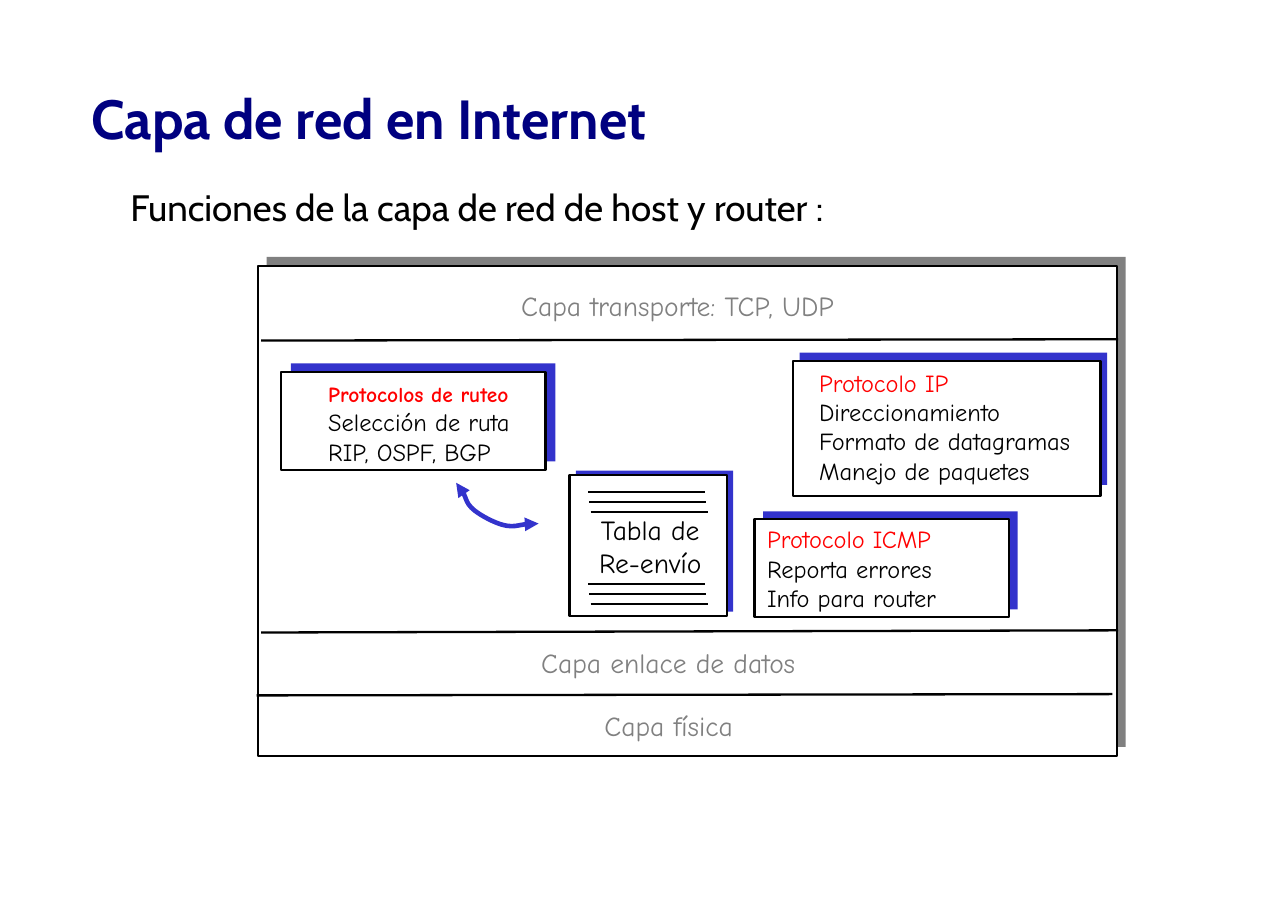
from dataclasses import dataclass

from lxml import etree
from pptx import Presentation
from pptx.dml.color import RGBColor
from pptx.enum.shapes import MSO_CONNECTOR, MSO_SHAPE
from pptx.enum.text import MSO_ANCHOR, MSO_AUTO_SIZE, PP_ALIGN
from pptx.oxml.ns import qn
from pptx.util import Cm, Pt

RECTANGLE = MSO_SHAPE.RECTANGLE
STRAIGHT = MSO_CONNECTOR.STRAIGHT
LEFT, CENTER = PP_ALIGN.LEFT, PP_ALIGN.CENTER
MIDDLE = MSO_ANCHOR.MIDDLE
FIXED_SIZE = MSO_AUTO_SIZE.NONE
TITLE_LAYOUT = 1
HEADING_FONT, DIAGRAM_FONT = "Cabin", "Comic Neue"
COLOURS = {
    "navy": "000080", "blue": "3333CC", "red": "FF0000",
    "black": "000000", "grey": "808080", "white": "FFFFFF",
}


@dataclass
class Line:
    text: str
    colour: str = "black"
    size: int = 16
    bold: bool = False


@dataclass
class Label:
    area: tuple[float, float, float, float]
    lines: list[Line]
    align: PP_ALIGN = LEFT


@dataclass
class Panel:
    """A framed white box over an offset shadow box; lengths in cm."""
    front: tuple[float, float, float, float]
    shadow: tuple[float, float, float, float]
    shadow_colour: str = "blue"


@dataclass
class Rule:
    start: tuple[float, float]
    end: tuple[float, float]


FRAME = Panel((5.95, 6.13, 19.81, 11.3), (6.15, 5.92, 19.81, 11.3), "grey")
PANELS = [
    Panel((13.13, 10.95, 3.63, 3.25), (13.28, 10.85, 3.63, 3.25)),
    Panel((6.48, 8.57, 6.1, 2.26), (6.71, 8.38, 6.1, 2.26)),
    Panel((18.29, 8.33, 7.09, 3.1), (18.44, 8.13, 7.09, 3.05)),
    Panel((17.4, 11.96, 5.87, 2.26), (17.6, 11.79, 5.87, 2.26)),
]
LABELS = [
    Label((13.46, 11.69, 3.07, 1.73),
          [Line("Tabla de", size=18), Line("Re-envío", size=18)], CENTER),
    Label((7.32, 8.67, 5, 2.13),
          [Line("Protocolos de ruteo", "red", 14, True),
           Line("Selección de ruta"), Line("RIP, OSPF, BGP")]),
    Label((18.64, 8.35, 6.6, 2.84),
          [Line("Protocolo IP", "red"), Line("Direccionamiento"),
           Line("Formato de datagramas"), Line("Manejo de paquetes")]),
    Label((17.44, 11.96, 5.77, 2.21),
          [Line("Protocolo ICMP", "red"), Line("Reporta errores"),
           Line("Info para router")]),
    Label((11.77, 6.53, 8.2, 0.99),
          [Line("Capa transporte: TCP, UDP", "grey", 18)]),
    Label((12.23, 14.76, 6.8, 0.99),
          [Line("Capa enlace de datos", "grey", 18)]),
    Label((13.69, 16.21, 4.2, 0.99), [Line("Capa física", "grey", 18)]),
]
LAYER_RULES = [
    Rule((6.02, 7.85), (25.78, 7.82)),
    Rule((6.02, 14.58), (25.78, 14.53)),
    Rule((5.92, 16.03), (25.65, 16)),
]
TABLE_RULES = [
    Rule((13.56 + 0.03 * row, top + 0.23 * row),
         (16.26 + 0.03 * row, top + 0.23 * row))
    for top in (11.34, 13.46) for row in range(3)
]
# Start point, then two control points and an end point for each curve
ARROW_POINTS = [(10.52, 11.13), (10.67, 11.2), (10.72, 11.68), (11.25, 11.96),
                (11.76, 12.22), (12.17, 12.04), (12.42, 12.07)]


def colour_of(name: str) -> RGBColor:
    return RGBColor.from_string(COLOURS[name])


def lengths(values: tuple[float, ...]) -> list[Cm]:
    return [Cm(value) for value in values]


def style_line(line, colour: str, width: float) -> None:
    line.color.rgb = colour_of(colour)
    line.width = Pt(width)


def style_font(font, name: str, line: Line) -> None:
    font.name, font.size, font.bold = name, Pt(line.size), line.bold
    font.color.rgb = colour_of(line.colour)


def draw_box(page, area: tuple, colour: str, framed: bool) -> None:
    box = page.shapes.add_shape(RECTANGLE, *lengths(area))
    box.shadow.inherit = False
    box.fill.solid()
    box.fill.fore_color.rgb = colour_of(colour)
    if framed:
        style_line(box.line, "black", 1.5)
    else:
        box.line.fill.background()


def draw_panel(page, panel: Panel) -> None:
    draw_box(page, panel.shadow, panel.shadow_colour, False)
    draw_box(page, panel.front, "white", True)


def draw_rule(page, rule: Rule) -> None:
    line = page.shapes.add_connector(STRAIGHT, *lengths(rule.start + rule.end))
    style_line(line.line, "black", 1.5)
    etree.SubElement(line._element.spPr, qn("a:effectLst"))


def draw_label(page, label: Label) -> None:
    frame = page.shapes.add_textbox(*lengths(label.area)).text_frame
    frame.word_wrap = True
    for index, line in enumerate(label.lines):
        para = frame.add_paragraph() if index else frame.paragraphs[0]
        para.text = line.text
        para.alignment = label.align
        style_font(para.font, DIAGRAM_FONT, line)


def draw_curved_arrow(page, points: list[tuple[float, float]]) -> None:
    start, *others = [lengths(point) for point in points]
    builder = page.shapes.build_freeform(*start)
    builder.add_line_segments(others, close=False)
    arrow = builder.convert_to_shape()
    arrow.shadow.inherit = False
    arrow.fill.background()
    style_line(arrow.line, "blue", 3)
    # Join every three segments into one Bezier curve
    segments = list(arrow._element.iter(qn("a:lnTo")))
    for first in range(0, len(segments), 3):
        curve = etree.Element(qn("a:cubicBezTo"))
        segments[first].addprevious(curve)
        for segment in segments[first:first + 3]:
            curve.append(segment[0])
            segment.getparent().remove(segment)
    # Arrowheads at both ends
    outline = arrow._element.spPr.find(qn("a:ln"))
    for tag in ("a:headEnd", "a:tailEnd"):
        etree.SubElement(outline, qn(tag), type="triangle")


def fill_placeholder(box, area: tuple, line: Line) -> None:
    box.left, box.top, box.width, box.height = lengths(area)
    frame = box.text_frame
    frame.text = line.text
    frame.word_wrap = True
    frame.auto_size = FIXED_SIZE
    para = frame.paragraphs[0]
    para.alignment = LEFT
    style_font(para.font, HEADING_FONT, line)


def main() -> None:
    deck = Presentation()
    deck.slide_width, deck.slide_height = Cm(29.7), Cm(21)
    page = deck.slides.add_slide(deck.slide_layouts[TITLE_LAYOUT])

    # Title and introduction
    title, body = page.placeholders
    fill_placeholder(title, (1.85, 1, 26.85, 3.43),
                     Line("Capa de red en Internet", "navy", 36, True))
    title.text_frame.vertical_anchor = MIDDLE
    fill_placeholder(body, (2.75, 4.14, 22.83, 1.27),
                     Line("Funciones de la capa de red de host y router :", size=24))
    intro = body.text_frame.paragraphs[0]
    intro.space_before = Pt(6)
    properties = intro._p.get_or_add_pPr()
    properties.set("marL", "0")
    properties.set("indent", "0")
    properties.find(qn("a:spcBef")).addnext(etree.Element(qn("a:buNone")))

    # Layer stack, protocol boxes and forwarding table
    for panel in [FRAME, *PANELS]:
        draw_panel(page, panel)
    for rule in LAYER_RULES + TABLE_RULES:
        draw_rule(page, rule)
    for label in LABELS:
        draw_label(page, label)
    draw_curved_arrow(page, ARROW_POINTS)

    deck.save("out.pptx")


if __name__ == "__main__":
    main()
